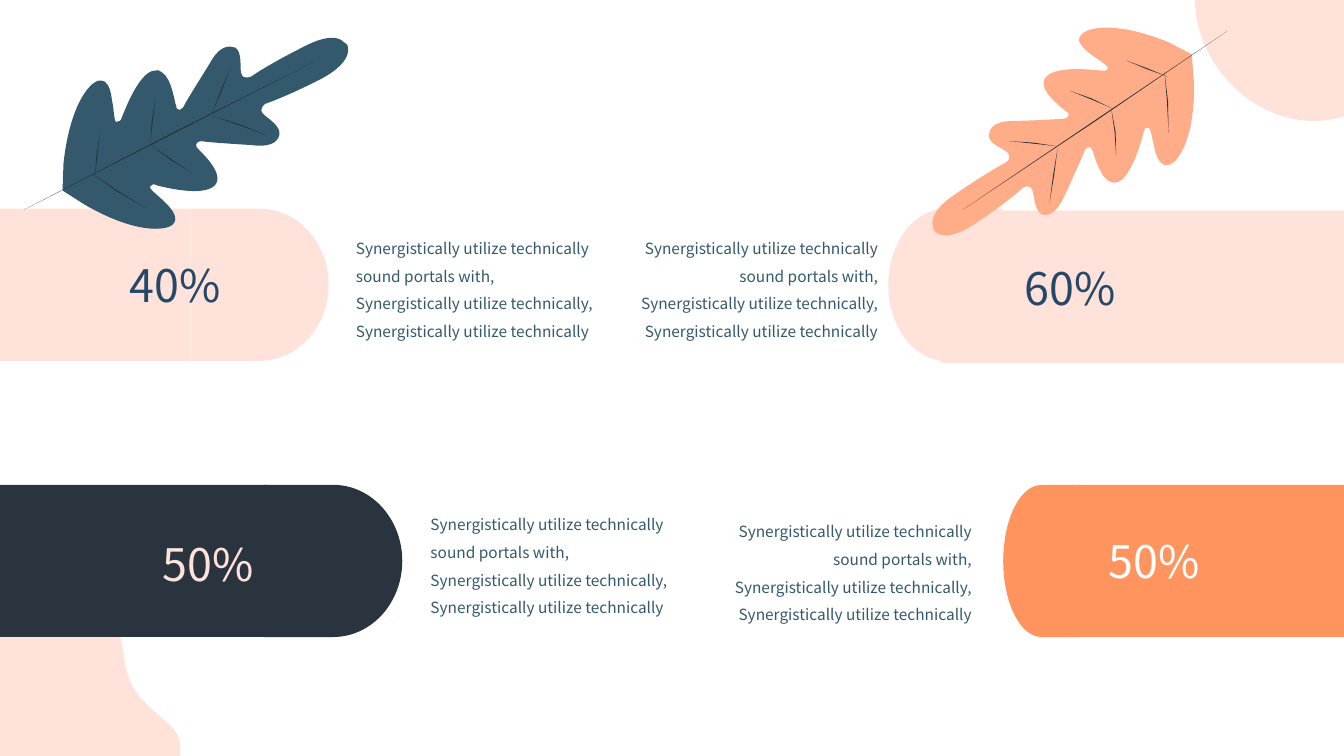
"""Build a slide of four percentage bars with descriptions, decorated with two leaves."""
from math import hypot

from pptx import Presentation
from pptx.dml.color import RGBColor
from pptx.enum.shapes import MSO_SHAPE
from pptx.enum.text import MSO_ANCHOR, MSO_AUTO_SIZE, PP_ALIGN
from pptx.oxml.ns import qn
from pptx.util import Inches, Pt

RECTANGLE, ROUND_END = MSO_SHAPE.RECTANGLE, MSO_SHAPE.FLOWCHART_DELAY
LEFT, CENTER, RIGHT = PP_ALIGN.LEFT, PP_ALIGN.CENTER, PP_ALIGN.RIGHT
MIDDLE, GROW = MSO_ANCHOR.MIDDLE, MSO_AUTO_SIZE.SHAPE_TO_FIT_TEXT

BLUSH = RGBColor(0xFF, 0xE3, 0xDA)
ORANGE = RGBColor(0xFF, 0x94, 0x5E)
PEACH = RGBColor(0xFF, 0xAC, 0x88)
CHARCOAL = RGBColor(0x29, 0x34, 0x3E)
TEAL = RGBColor(0x34, 0x59, 0x6C)
NAVY = RGBColor(0x25, 0x48, 0x68)
VEIN = RGBColor(0x26, 0x32, 0x38)
WHITE = RGBColor(0xFF, 0xFF, 0xFF)
FONT = "Noto Sans CJK SC"

BAR_HEIGHT, NUMBER_SIZE, NUMBER_INSET = 1.51, 1.33, 0.13
DESCRIPTION_WIDTH, DESCRIPTION_HEIGHT = 2.44, 1.08
VEIN_THICKNESS = 0.01

DESCRIPTION = ("Synergistically utilize technically sound portals with, "
               "Synergistically utilize technically, Synergistically utilize technically")

# percentage, fill, number colour, round end (left, top, width), body (left, top, width), number (left, top)
BARS = [
    ("60%", BLUSH, NAVY, (8.81, 2.07, 1.14), (9.33, 2.09, 4), (9.95, 2.19)),
    ("40%", BLUSH, NAVY, (1.89, 2.07, 1.37), (0, 2.07, 1.89), (1.07, 2.16)),
    ("50%", ORANGE, WHITE, (9.95, 4.81, 0.76), (10.69, 4.81, 2.65), (10.78, 4.9)),
    ("50%", CHARCOAL, BLUSH, (2.62, 4.81, 1.37), (0, 4.81, 2.65), (1.4, 4.93)),
]
DESCRIPTION_PLACES = [(3.53, 2.28, LEFT), (4.27, 5.02, LEFT),
                      (6.27, 2.28, RIGHT), (7.2, 5.09, RIGHT)]

BLOB_SHIFTS = [(0, 0), (-12.24, 6.87)]
BLOB = [
    (12.76, -1.09), (12.74, -1.09, 12.72, -1.09, 12.7, -1.09),
    (12.13, -1.05, 11.75, -0.48, 11.87, 0.19), (11.98, 0.75, 12.47, 1.2, 13.04, 1.2),
    (13.14, 1.2, 13.25, 1.18, 13.35, 1.15), (14.04, 0.95, 14.14, 0.54, 13.94, 0.34),
    (13.74, 0.14, 13.51, 0.04, 13.47, -0.36), (13.42, -0.74, 13.23, -1.09, 12.76, -1.09),
]
TEAL_LEAF = [
    (3.4, 0.41), (3.36, 0.37, 3.25, 0.34, 3.02, 0.46), (2.66, 0.64, 2.49, 0.76, 2.49, 0.76),
    (2.49, 0.76, 2.44, 0.78, 2.41, 0.76), (2.4, 0.75, 2.4, 0.74, 2.39, 0.72),
    (2.38, 0.66, 2.4, 0.52, 2.34, 0.48), (2.34, 0.47, 2.33, 0.47, 2.32, 0.47),
    (2.23, 0.44, 2.15, 0.5, 2.08, 0.63), (2, 0.76, 1.83, 1.03, 1.82, 1.06),
    (1.81, 1.08, 1.78, 1.1, 1.76, 1.08), (1.75, 1.08, 1.75, 1.07, 1.75, 1.06),
    (1.73, 1.02, 1.71, 0.79, 1.61, 0.72), (1.59, 0.7, 1.56, 0.69, 1.53, 0.7),
    (1.37, 0.72, 1.23, 1.12, 1.21, 1.16), (1.2, 1.2, 1.18, 1.21, 1.15, 1.21),
    (1.13, 1.19, 1.13, 1.08, 1.11, 0.99), (1.1, 0.92, 1.09, 0.85, 1.04, 0.81),
    (1.03, 0.8, 1, 0.8, 0.98, 0.8), (0.88, 0.82, 0.69, 1.06, 0.63, 1.62),
    (0.62, 1.89), (0.84, 2.03), (1.34, 2.32, 1.64, 2.29, 1.71, 2.23),
    (1.78, 2.17, 1.71, 2.08, 1.64, 2.01), (1.57, 1.94, 1.47, 1.87, 1.49, 1.85),
    (1.5, 1.83, 1.52, 1.82, 1.56, 1.84), (1.6, 1.85, 2.01, 1.96, 2.13, 1.84),
    (2.24, 1.72, 1.98, 1.5, 1.95, 1.46), (1.93, 1.42, 1.97, 1.4, 2, 1.4),
    (2.03, 1.41, 2.35, 1.43, 2.5, 1.44), (2.64, 1.46, 2.75, 1.43, 2.77, 1.34),
    (2.79, 1.25, 2.66, 1.18, 2.61, 1.13), (2.56, 1.08, 2.63, 1.03, 2.63, 1.03),
    (2.63, 1.03, 2.84, 0.96, 3.19, 0.78), (3.54, 0.59, 3.44, 0.44, 3.44, 0.44),
]
PEACH_LEAF = [
    (9.25, 2.23), (9.24, 2.18, 9.26, 2.07, 9.47, 1.93), (9.79, 1.71, 9.98, 1.61, 9.98, 1.61),
    (9.98, 1.61, 10.02, 1.58, 10.01, 1.55), (10.01, 1.54, 10, 1.53, 9.99, 1.51),
    (9.94, 1.47, 9.82, 1.43, 9.81, 1.36), (9.81, 1.35, 9.8, 1.34, 9.81, 1.33),
    (9.82, 1.24, 9.91, 1.2, 10.06, 1.2), (10.2, 1.2, 10.52, 1.18, 10.55, 1.18),
    (10.57, 1.18, 10.6, 1.16, 10.6, 1.14), (10.6, 1.13, 10.59, 1.12, 10.59, 1.12),
    (10.56, 1.09, 10.37, 0.96, 10.35, 0.84), (10.35, 0.81, 10.35, 0.79, 10.37, 0.77),
    (10.47, 0.64, 10.88, 0.7, 10.92, 0.7), (10.96, 0.71, 10.98, 0.7, 10.99, 0.68),
    (10.99, 0.65, 10.89, 0.59, 10.82, 0.54), (10.77, 0.5, 10.71, 0.45, 10.7, 0.4),
    (10.7, 0.38, 10.71, 0.36, 10.73, 0.34), (10.79, 0.27, 11.08, 0.21, 11.59, 0.42),
    (11.82, 0.54), (11.84, 0.8), (11.86, 1.35, 11.69, 1.6, 11.61, 1.63),
    (11.52, 1.67, 11.47, 1.57, 11.45, 1.47), (11.43, 1.38, 11.41, 1.26, 11.39, 1.27),
    (11.36, 1.26, 11.35, 1.28, 11.34, 1.32), (11.33, 1.36, 11.23, 1.76, 11.08, 1.81),
    (10.92, 1.85, 10.85, 1.52, 10.83, 1.48), (10.81, 1.44, 10.77, 1.47, 10.76, 1.49),
    (10.75, 1.52, 10.62, 1.81, 10.56, 1.94), (10.5, 2.07, 10.43, 2.15, 10.34, 2.13),
    (10.26, 2.1, 10.26, 1.95, 10.24, 1.89), (10.22, 1.82, 10.15, 1.86, 10.15, 1.86),
    (10.15, 1.86, 9.99, 2.01, 9.67, 2.22), (9.34, 2.44, 9.26, 2.28, 9.26, 2.28),
]
TEAL_VEINS = [
    (3.12, 0.61, 1.68, 1.34, 0.24, 2.08), (2.28, 0.68, 2.19, 0.91, 2.1, 1.13),
    (2.64, 1.34, 2.38, 1.24, 2.11, 1.15), (1.9, 1.71, 1.69, 1.58, 1.49, 1.43),
    (1.54, 0.98, 1.51, 1.2, 1.49, 1.43), (1.44, 2.06, 1.17, 1.9, 0.91, 1.72),
    (0.99, 1.33, 0.96, 1.55, 0.94, 1.78),
]
PEACH_VEINS = [
    (9.55, 2.08, 10.86, 1.2, 12.17, 0.31), (10.01, 1.4, 10.25, 1.42, 10.48, 1.45),
    (10.41, 2.01, 10.45, 1.74, 10.49, 1.47), (11.07, 1.55, 11.06, 1.31, 11.02, 1.07),
    (10.61, 0.9, 10.82, 0.98, 11.02, 1.07), (11.59, 1.32, 11.58, 1.01, 11.55, 0.71),
    (11.17, 0.6, 11.37, 0.68, 11.58, 0.76),
]
LEAVES = [(TEAL, TEAL_LEAF, TEAL_VEINS), (PEACH, PEACH_LEAF, PEACH_VEINS)]


def paint(shape, color):
    shape.shadow.inherit = False
    shape.fill.solid()
    shape.fill.fore_color.rgb = color
    shape.line.fill.background()


def draw_outline(shapes, outline, color, shift=(0, 0)):
    points = [(Inches(x + shift[0]), Inches(y + shift[1]))
              for segment in outline for x, y in zip(segment[::2], segment[1::2])]
    builder = shapes.build_freeform(*points[0])
    builder.add_line_segments(points[1:])
    shape = builder.convert_to_shape()
    paint(shape, color)
    lines = iter(list(shape._element.iter(qn("a:lnTo"))))
    for segment in outline[1:]:
        curve = next(lines)
        if len(segment) == 6:
            curve.tag = qn("a:cubicBezTo")
            for line in (next(lines), next(lines)):
                curve.append(line[0])
                line.getparent().remove(line)


def vein_outline(x0, y0, xm, ym, x1, y1):
    length = hypot(x1 - x0, y1 - y0)
    dx = (y0 - y1) / length * VEIN_THICKNESS / 2
    dy = (x1 - x0) / length * VEIN_THICKNESS / 2
    return [(x0, y0), (xm + dx, ym + dy), (x1, y1), (xm - dx, ym - dy)]


def add_bar_part(slide, kind, place, color):
    left, top, width = place
    part = slide.shapes.add_shape(kind, Inches(left), Inches(top), Inches(width), Inches(BAR_HEIGHT))
    paint(part, color)
    return part


def add_text(slide, box, text, size, color, align, inset):
    frame = slide.shapes.add_textbox(*map(Inches, box)).text_frame
    frame.word_wrap = True
    frame.margin_left = frame.margin_right = Inches(inset)
    frame.margin_top = frame.margin_bottom = Inches(inset)
    paragraph = frame.paragraphs[0]
    paragraph.text = text
    paragraph.alignment = align
    paragraph.font.size = Pt(size)
    paragraph.font.name = FONT
    paragraph.font.color.rgb = color
    return frame


def main():
    presentation = Presentation()
    presentation.slide_width, presentation.slide_height = Inches(13.33), Inches(7.5)
    slide = presentation.slides.add_slide(presentation.slide_layouts[6])

    for shift in BLOB_SHIFTS:
        draw_outline(slide.shapes, BLOB, BLUSH, shift)

    for percentage, fill, number_color, end, body, number in BARS:
        round_end = add_bar_part(slide, ROUND_END, end, fill)
        if end[0] < body[0]:
            round_end.rotation = 180
        add_bar_part(slide, RECTANGLE, body, fill)
        frame = add_text(slide, (*number, NUMBER_SIZE, NUMBER_SIZE), percentage, 32,
                         number_color, CENTER, NUMBER_INSET)
        frame.vertical_anchor = MIDDLE

    for left, top, align in DESCRIPTION_PLACES:
        frame = add_text(slide, (left, top, DESCRIPTION_WIDTH, DESCRIPTION_HEIGHT),
                         DESCRIPTION, 11, TEAL, align, 0)
        frame.auto_size = GROW
        frame.paragraphs[0].line_spacing = 1.5

    for color, outline, veins in LEAVES:
        leaf = slide.shapes.add_group_shape()
        draw_outline(leaf.shapes, outline, color)
        for vein in veins:
            draw_outline(leaf.shapes, vein_outline(*vein), VEIN)

    presentation.save("out.pptx")


if __name__ == "__main__":
    main()
